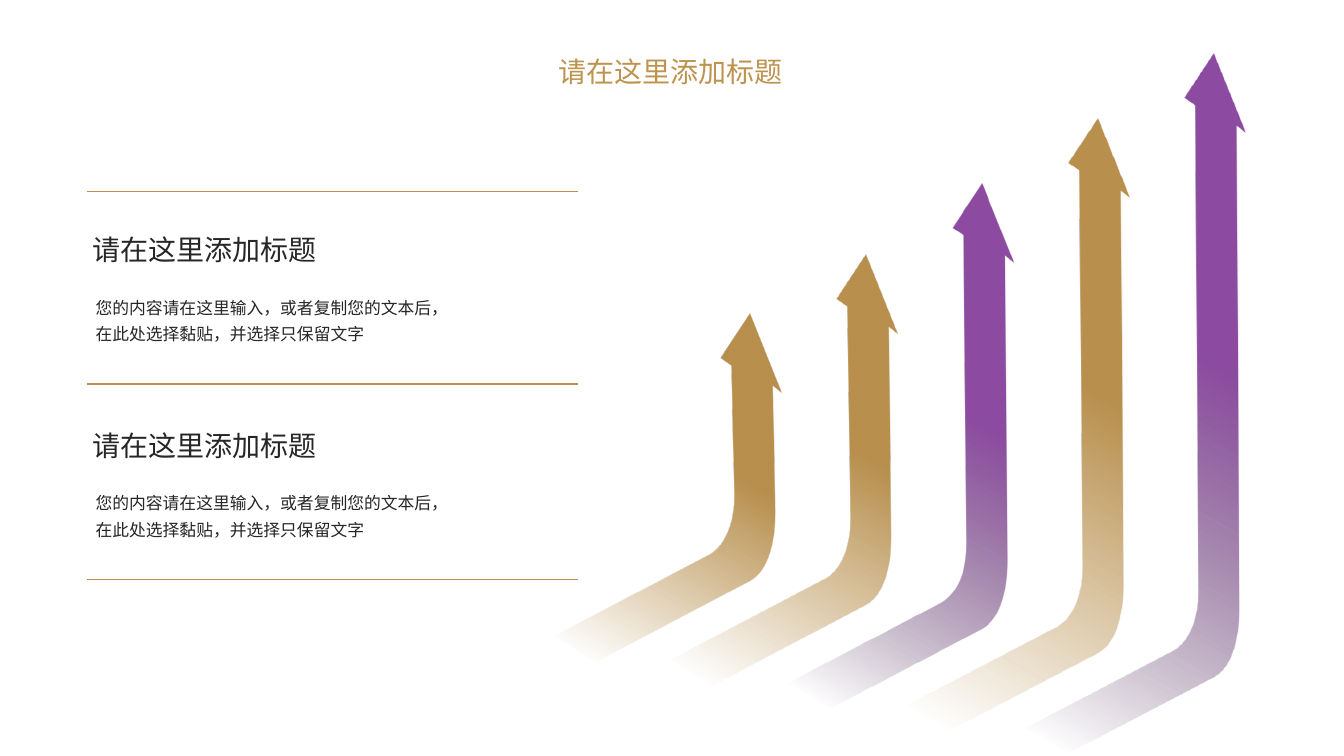
from lxml.etree import SubElement
from pptx import Presentation
from pptx.dml.color import RGBColor
from pptx.enum.shapes import MSO_CONNECTOR
from pptx.enum.text import MSO_AUTO_SIZE
from pptx.oxml.ns import qn
from pptx.util import Emu, Pt

SLIDE_W, SLIDE_H = 12192000, 6858000
CELL = SLIDE_W / 160
GOLD, PURPLE, PLUM, INK = "B88F4D", "8C4BA0", "3E2146", "262626"
HEADING = "请在这里添加标题"
BODY = "您的内容请在这里输入，或者复制您的文本后，在此处选择黏贴，并选择只保留文字"

INNER_BEND = [(18.1, -9.5), (18.1, -9.5), (21.4, -10.7), (21.4, -16.7)]
OUTER_BEND = [(26.25, -15), (26.3, -11.9), (25.7, -7.8), (23.2, -6.5)]
HEAD = [(-2.2, 6.2), (-3.5, 5.3), (0, 0), (3.8, 9.5), (2.7, 8.6)]
TAIL_CORNER = (4.95, 3.1)
TIP_OFFSET = 23.25


def grid(n):
    return Emu(round(n * CELL))


def color(value):
    return RGBColor.from_string(value)


def bezier(points, steps=16):
    curve = []
    for i in range(steps + 1):
        t = i / steps
        weights = ((1 - t) ** 3, 3 * t * (1 - t) ** 2, 3 * t * t * (1 - t), t ** 3)
        curve.append(tuple(sum(w * pt[axis] for w, pt in zip(weights, points))
                           for axis in (0, 1)))
    return curve


def fade(sp, solid, clear):
    sp.fill.gradient()
    sp.fill.gradient_angle = 240
    for stop, position, value in zip(sp.fill.gradient_stops, (0.39, 0.96), (solid, clear)):
        stop.position = position
        stop.color.rgb = color(value)
    last = list(sp.element.spPr.iter(qn("a:srgbClr")))[-1]
    SubElement(last, qn("a:alpha"), val="0")


def add_arrow(s, col, row, height, solid, clear):
    head = [(x + TIP_OFFSET, y - height) for x, y in HEAD]
    outline = [(0, 0), *bezier(INNER_BEND), *head, *bezier(OUTER_BEND), TAIL_CORNER]
    points = [(grid(col + x), grid(row + y)) for x, y in outline]
    builder = s.shapes.build_freeform(*points[0])
    builder.add_line_segments(points[1:], close=True)
    sp = builder.convert_to_shape()
    sp.shadow.inherit = False
    sp.line.fill.background()
    fade(sp, solid, clear)


def add_text(s, text, box, size, font, value, wrap=False, spacing=None):
    sp = s.shapes.add_textbox(*map(grid, box))
    tf = sp.text_frame
    tf.word_wrap = wrap
    tf.auto_size = MSO_AUTO_SIZE.SHAPE_TO_FIT_TEXT
    tf.text = text
    p = tf.paragraphs[0]
    p.line_spacing = spacing
    r = p.runs[0]
    r.font.size = Pt(size)
    r.font.name = font
    r.font.color.rgb = color(value)
    SubElement(r.font._element, qn("a:ea"), typeface=font)


def add_heading(s, col, row, value):
    add_text(s, HEADING, (col, row, 29.4, 5.25), 20, "Arial", value)


def add_block(s, row):
    add_heading(s, 9.84, row, INK)
    add_text(s, BODY, (10.2, row + 7, 45.84, 7.2), 12, "Noto Sans CJK SC", INK,
             wrap=True, spacing=1.3)


def add_rule(s, row):
    ln = s.shapes.add_connector(MSO_CONNECTOR.STRAIGHT, grid(10.35), grid(row),
                                grid(68.8), grid(row))
    ln.line.color.rgb = color(GOLD)
    ln.line.width = Pt(1)
    SubElement(ln.element.spPr, qn("a:effectLst"))


def main():
    prs = Presentation()
    prs.slide_width, prs.slide_height = SLIDE_W, SLIDE_H
    s = prs.slides.add_slide(prs.slide_layouts[6])
    gold, purple = (GOLD, GOLD), (PURPLE, PLUM)
    arrows = [(38.3, gold), (48.2, gold), (59.5, purple), (70.1, gold), (80.8, purple)]
    for i, (height, colors) in enumerate(arrows):
        add_arrow(s, 66 + 13.8 * i, 75.6 + 2.88 * i, height, *colors)
    for row in (22.8, 45.7, 69):
        add_rule(s, row)
    for row in (27.1, 50.4):
        add_block(s, row)
    add_heading(s, 65.3, 5.9, "BD934E")
    prs.save("out.pptx")


if __name__ == "__main__":
    main()
